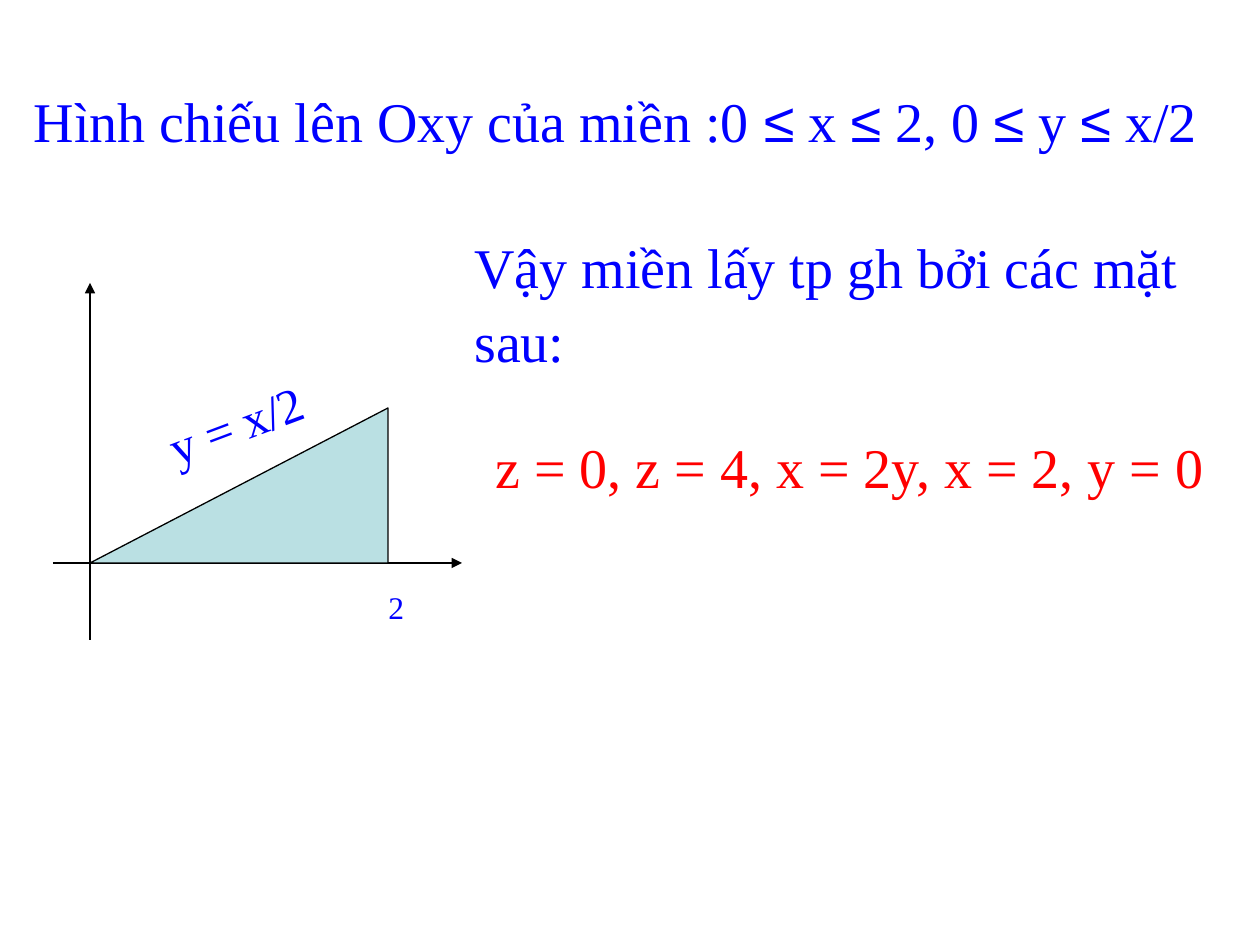
from dataclasses import dataclass

from pptx import Presentation
from pptx.dml.color import RGBColor
from pptx.enum.shapes import MSO_CONNECTOR, MSO_SHAPE
from pptx.enum.text import MSO_ANCHOR, MSO_AUTO_SIZE, PP_ALIGN
from pptx.oxml.ns import qn
from pptx.util import Pt
from lxml.etree import SubElement

SCALE = 914400 / 126  # EMU in one px


@dataclass(frozen=True)
class Theme:
    serif: str = "Times New Roman"
    sans: str = "Arial"
    blue: RGBColor = RGBColor(0, 0, 255)
    red: RGBColor = RGBColor(255, 0, 0)
    black: RGBColor = RGBColor(0, 0, 0)
    fill: RGBColor = RGBColor(0xBA, 0xE0, 0xE3)
    body: int = 32
    label: int = 28
    tick: int = 18
    line: float = 0.75
    lead: float = 1.1  # line spacing
    before: float = 0.625  # space before, as a share of the type size


THEME = Theme()


def px(*sizes):
    return [round(size * SCALE) for size in sizes]


def place(shape, box):
    shape.left, shape.top, shape.width, shape.height = px(*box)


def write(shape, parts, size, color):
    """Fill a text shape with runs; the ≤ sign is set in the sans font."""
    frame = shape.text_frame
    frame.word_wrap = True
    frame.auto_size = MSO_AUTO_SIZE.SHAPE_TO_FIT_TEXT
    frame.vertical_anchor = MSO_ANCHOR.TOP
    para = frame.paragraphs[0]
    para.alignment = PP_ALIGN.LEFT
    para.line_spacing = THEME.lead
    para.space_before = Pt(size * THEME.before)
    for part in parts:
        run = para.add_run()
        run.text = part
        run.font.name = THEME.sans if part == "≤" else THEME.serif
        run.font.size = Pt(size)
        run.font.color.rgb = color


def add_text(shapes, box, text, size, color, turn=0):
    shape = shapes.add_textbox(*px(*box))
    write(shape, [text], size, color)
    shape.rotation = turn


def add_axis(shapes, start, end):
    axis = shapes.add_connector(MSO_CONNECTOR.STRAIGHT, *px(*start, *end))
    axis.line.color.rgb = THEME.black
    axis.line.width = Pt(THEME.line)
    SubElement(axis.line._get_or_add_ln(), qn("a:tailEnd"), type="triangle")
    SubElement(axis._element.spPr, qn("a:effectLst"))


def add_title(slide, box):
    title = slide.shapes.title
    place(title, box)
    parts = ["Hình chiếu lên Oxy của miền :0 ", "≤", " x ", "≤", " 2, 0 ",
             "≤", " y ", "≤", " x/2"]
    write(title, parts, THEME.body, THEME.blue)


def add_graph(slide, box):
    """Axes and the shaded region under y = x/2."""
    left, top, width, height = box
    shapes = slide.shapes.add_group_shape().shapes
    zero_x, zero_y = left + 37, top + 280
    add_axis(shapes, (zero_x, top + height), (zero_x, top))
    add_axis(shapes, (left, zero_y), (left + width, zero_y))

    # Region: a right triangle turned so its right angle is at x = 2
    base, rise = 298, 155
    mid_x, mid_y = zero_x + base / 2, zero_y - rise / 2
    region = shapes.add_shape(
        MSO_SHAPE.RIGHT_TRIANGLE,
        *px(mid_x - rise / 2, mid_y - base / 2, rise, base))
    region.rotation = 270
    region.shadow.inherit = False
    region.fill.solid()
    region.fill.fore_color.rgb = THEME.fill
    region.line.color.rgb = THEME.black
    region.line.width = Pt(THEME.line)

    # Labels
    add_text(shapes, (zero_x + base - 12, zero_y + 15, 62, 50),
             "2", THEME.tick, THEME.blue)
    add_text(shapes, (left + 98, top + 94, 198, 72),
             "y = x/2", THEME.label, THEME.blue, 339.4)


def add_result(slide, box):
    """The conclusion and the list of bounding surfaces."""
    left, top, width, height = box
    add_text(slide.shapes, (left, top, width - 10, 147),
             "Vậy miền lấy tp gh bởi các mặt sau:", THEME.body, THEME.blue)
    add_text(slide.shapes, (left + 21, top + height - 81, width - 21, 81),
             "z = 0, z = 4, x = 2y, x = 2, y = 0", THEME.body, THEME.red)


def main():
    deck = Presentation()
    deck.slide_width, deck.slide_height = px(1260, 945)
    slide = deck.slides.add_slide(deck.slide_layouts[5])  # title only
    add_title(slide, (21, 73, 1207, 147))
    add_graph(slide, (53, 283, 409, 357))
    add_result(slide, (462, 220, 766, 281))
    deck.save("out.pptx")


if __name__ == "__main__":
    main()
